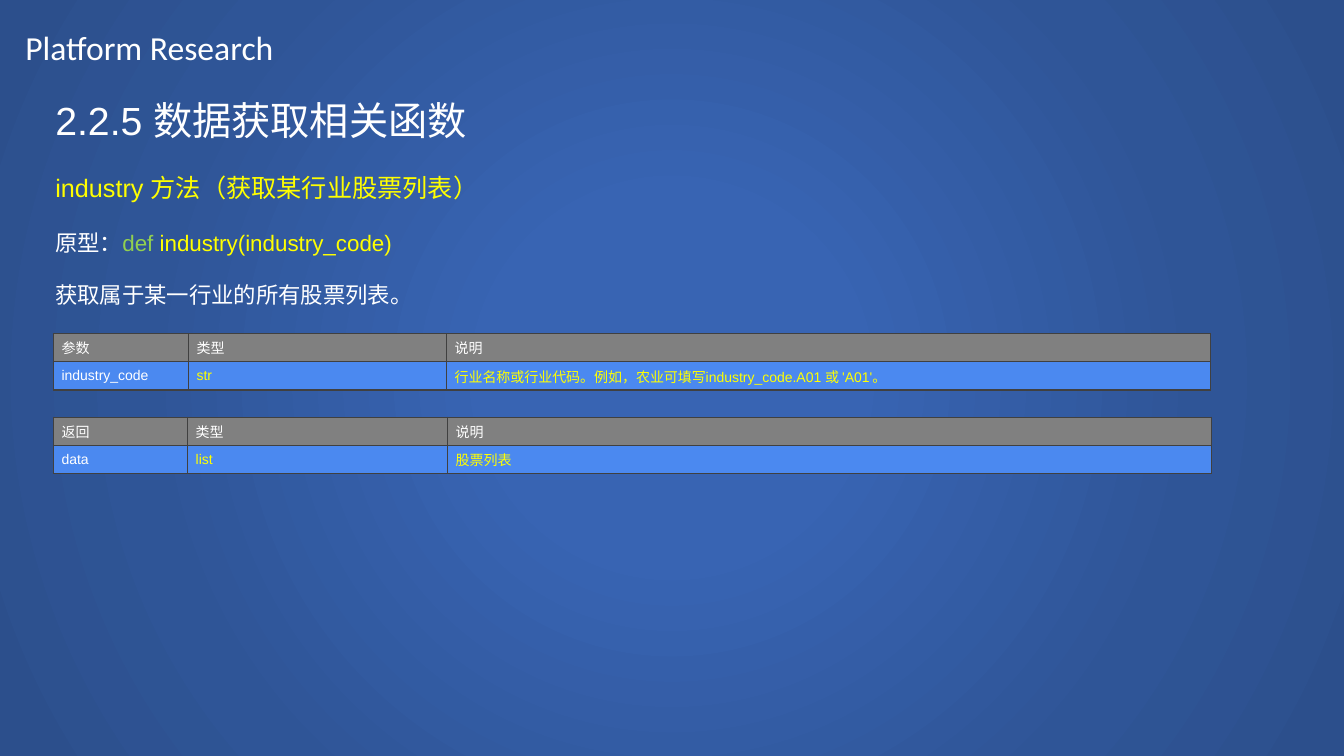
"""Build the slide on the industry function: its heading, prototype and two tables."""
from dataclasses import dataclass
from typing import NamedTuple

from pptx import Presentation
from pptx.dml.color import RGBColor
from pptx.enum.shapes import MSO_SHAPE as Shape
from pptx.enum.text import MSO_ANCHOR as Anchor, MSO_AUTO_SIZE as Fit, PP_ALIGN as Align
from pptx.oxml import parse_xml
from pptx.oxml.ns import nsdecls
from pptx.util import Inches, Pt

WIDE, HIGH = Inches(13.33), Inches(7.5)
WHITE = RGBColor(0xFF, 0xFF, 0xFF)
YELLOW = RGBColor(0xFF, 0xFF, 0x00)
GREEN = RGBColor(0x92, 0xD0, 0x50)
GRAY = RGBColor(0x80, 0x80, 0x80)
BLUE = RGBColor(0x4B, 0x89, 0xF0)
DARK = RGBColor(0x40, 0x40, 0x40)
CORE = RGBColor(0x38, 0x64, 0xB3)
MID = RGBColor(0x2F, 0x55, 0x97)
EDGE = RGBColor(0x2C, 0x4F, 0x8C)
GLOW = ((0, CORE), (23, CORE), (69, MID), (97, EDGE))
ROW = 3.2


class Box(NamedTuple):
    """A frame in percent of the slide's width and height."""
    x: float
    y: float
    w: float
    h: float

    def place(self) -> tuple[int, int, int, int]:
        """Return left, top, width and height in EMU."""
        return across(self.x), down(self.y), across(self.w), down(self.h)


class Piece(NamedTuple):
    """A run of text and its colour."""
    text: str
    color: RGBColor = WHITE


@dataclass
class Line:
    """A paragraph with its size and the space before it, in points."""
    size: float
    runs: list[Piece]
    gap: float = 0


@dataclass
class Grid:
    """A table with its top, column shares and two rows of text."""
    top: float
    cols: tuple[float, ...]
    head: tuple[str, ...]
    body: tuple[str, ...]


HEAD = Line(24, [Piece("Platform Research")])
LINES = [
    Line(28, [Piece("2.2.5 数据获取相关函数")]),
    Line(18, [Piece("industry 方法（获取某行业股票列表）", YELLOW)], 20.7),
    Line(16, [Piece("原型："), Piece("def ", GREEN), Piece("industry(industry_code)", YELLOW)], 18.4),
    Line(16, [Piece("获取属于某一行业的所有股票列表。")], 18.4),
]
GRIDS = [
    Grid(44.13, (10.05, 19.2, 56.86), ("参数", "类型", "说明"),
         ("industry_code", "str", "行业名称或行业代码。例如，农业可填写industry_code.A01 或 'A01'。")),
    Grid(55.2, (9.98, 19.35, 56.86), ("返回", "类型", "说明"), ("data", "list", "股票列表")),
]


def across(share: float) -> int:
    """Turn a percentage of the slide's width into EMU."""
    return round(WIDE * share / 100)


def down(share: float) -> int:
    """Turn a percentage of the slide's height into EMU."""
    return round(HIGH * share / 100)


def write(para, line: Line, face: str = "Arial") -> None:
    """Fill a paragraph run by run."""
    para.alignment = Align.LEFT
    para.space_before = Pt(line.gap)
    for piece in line.runs:
        run = para.add_run()
        run.text = piece.text
        run.font.name, run.font.size = face, Pt(line.size)
        run.font.color.rgb = piece.color


def paint(slide) -> None:
    """Lay the radial gradient behind everything."""
    back = slide.shapes.add_shape(Shape.RECTANGLE, *Box(0, 0, 100, 100).place())
    back.shadow.inherit = False
    back.line.fill.background()
    back.fill.background()
    stops = "".join(f'<a:gs pos="{pos * 1000}"><a:srgbClr val="{color}"/></a:gs>' for pos, color in GLOW)
    glow = parse_xml(
        f'<a:gradFill {nsdecls("a")} rotWithShape="1"><a:gsLst>{stops}</a:gsLst><a:path path="circle">'
        '<a:fillToRect l="50000" t="50000" r="50000" b="50000"/></a:path></a:gradFill>')
    props = back.element.spPr
    props.replace(props.find("{*}noFill"), glow)
    slide.shapes.element.insert(2, back.element)


def frame(shape, box: Box):
    """Place a text shape and return its frame, ready to fill."""
    shape.left, shape.top, shape.width, shape.height = box.place()
    text = shape.text_frame
    text.word_wrap, text.auto_size = True, Fit.NONE
    text.vertical_anchor = Anchor.TOP
    return text


def rule(cell) -> None:
    """Draw the four borders of a cell."""
    props = cell._tc.get_or_add_tcPr()
    for side in ("lnL", "lnR", "lnT", "lnB"):
        props.append(parse_xml(
            f'<a:{side} {nsdecls("a")} w="{Pt(1)}"><a:solidFill><a:srgbClr val="{DARK}"/>'
            f'</a:solidFill></a:{side}>'))


def tabulate(slide, grid: Grid) -> None:
    """Draw one table with a gray head and a blue row."""
    box = Box(3.98, grid.top, sum(grid.cols), 2 * ROW)
    table = slide.shapes.add_table(2, len(grid.cols), *box.place()).table
    for col, share in zip(table.columns, grid.cols):
        col.width = across(share)
    for r, (texts, fill) in enumerate(((grid.head, GRAY), (grid.body, BLUE))):
        table.rows[r].height = down(ROW)
        for c, text in enumerate(texts):
            cell = table.cell(r, c)
            cell.margin_left = cell.margin_right = Inches(0.08)
            cell.margin_top = cell.margin_bottom = Inches(0.04)
            cell.vertical_anchor = Anchor.MIDDLE
            rule(cell)
            cell.fill.solid()
            cell.fill.fore_color.rgb = fill
            color = YELLOW if r and c else WHITE
            write(cell.text_frame.paragraphs[0], Line(10, [Piece(text, color)]))


def main() -> None:
    """Assemble and save the slide."""
    deck = Presentation()
    deck.slide_width, deck.slide_height = WIDE, HIGH
    slide = deck.slides.add_slide(deck.slide_layouts.get_by_name("Title Only"))
    paint(slide)
    title = frame(slide.shapes.title, Box(1.13, 2.93, 37.81, 6.67))
    write(title.paragraphs[0], HEAD, "Calibri")
    box = Box(3.38, 12.13, 88.3, 59.2)
    text = frame(slide.shapes.add_textbox(*box.place()), box)
    for i, line in enumerate(LINES):
        write(text.add_paragraph() if i else text.paragraphs[0], line)
    for grid in GRIDS:
        tabulate(slide, grid)
    deck.save("out.pptx")


if __name__ == "__main__":
    main()
